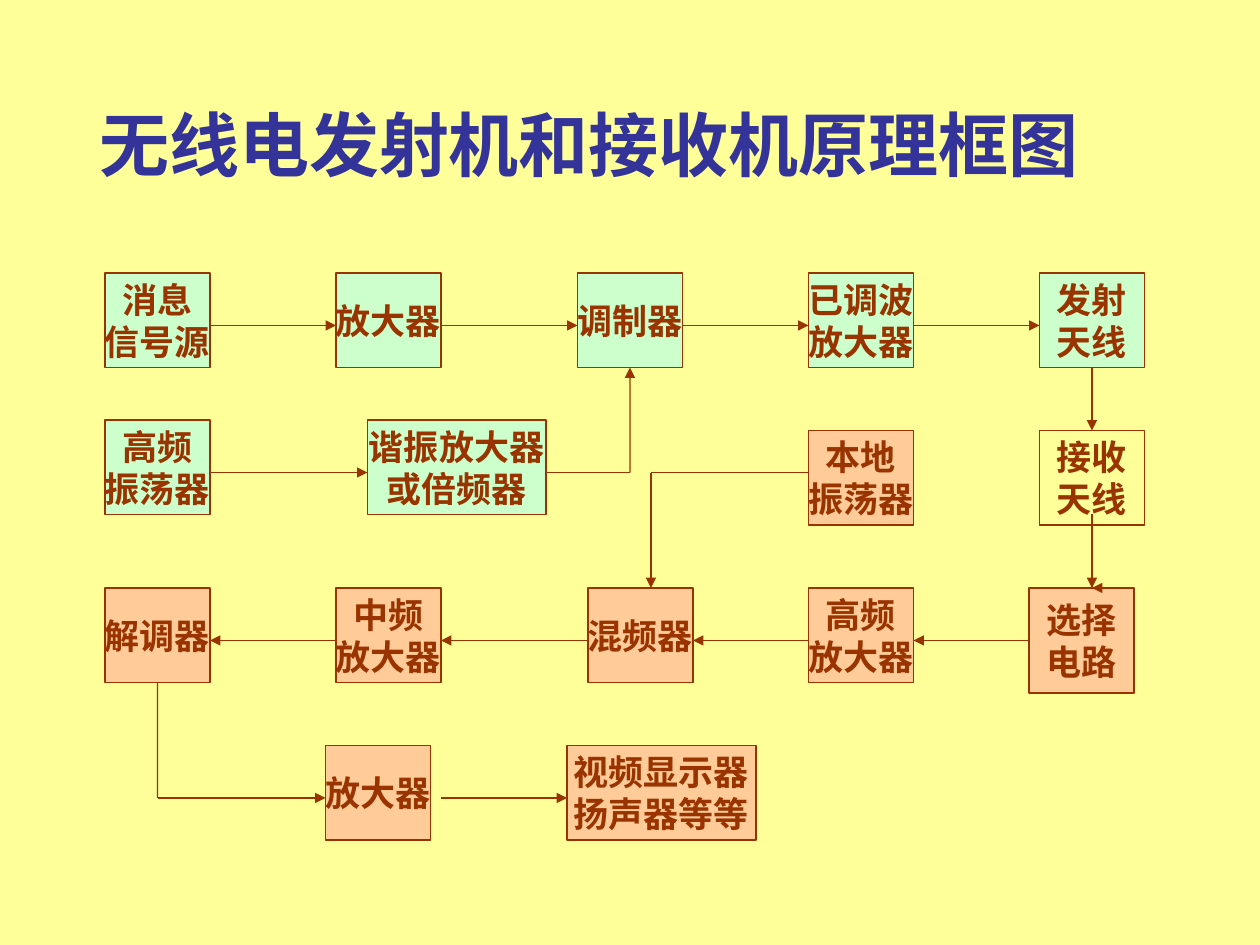
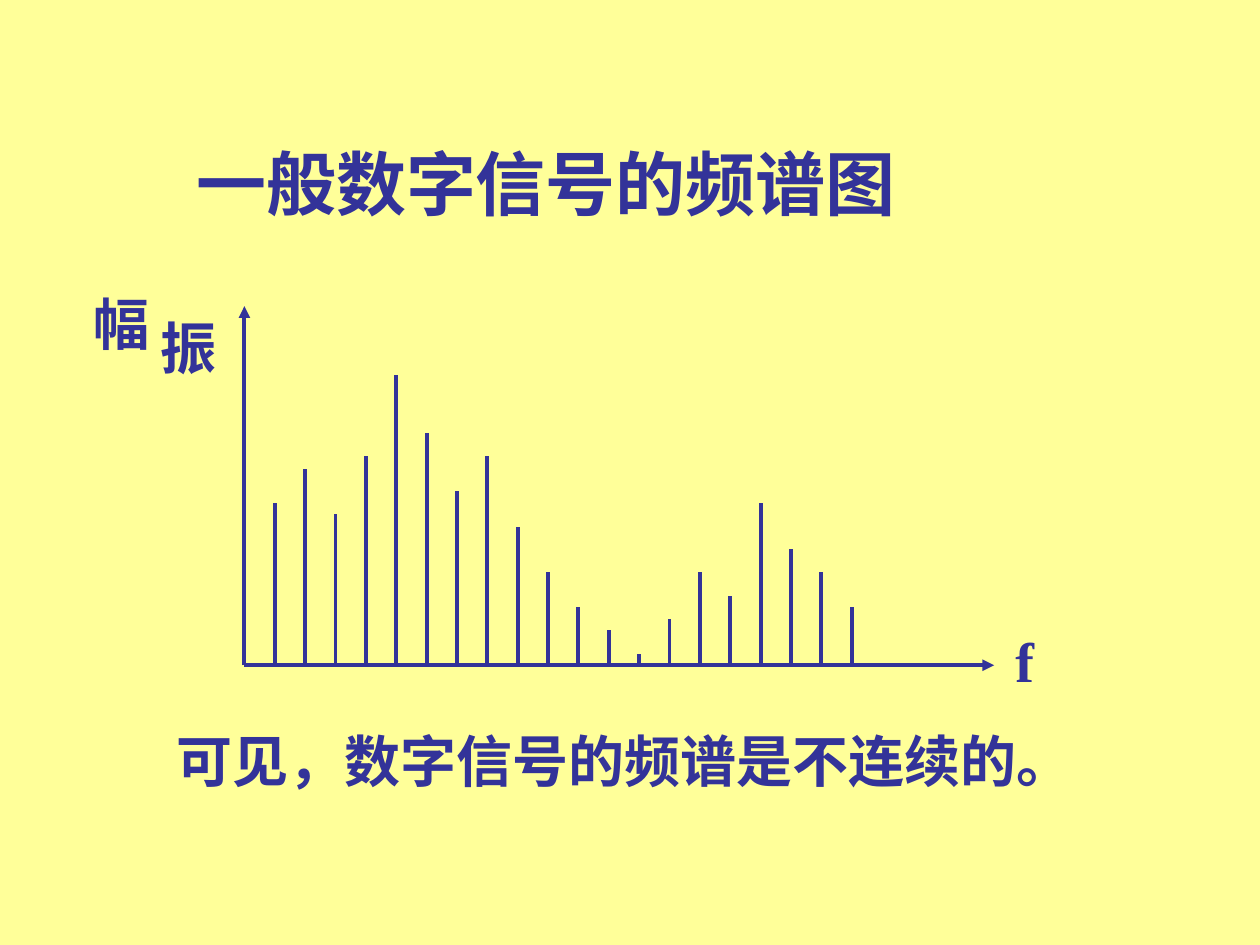
"""Build two slides: a radio block diagram and a digital signal spectrum."""
from typing import NamedTuple

from lxml.etree import SubElement
from pptx import Presentation
from pptx.dml.color import RGBColor
from pptx.enum.shapes import MSO_CONNECTOR, MSO_SHAPE
from pptx.enum.text import MSO_ANCHOR, MSO_AUTO_SIZE, PP_ALIGN
from pptx.oxml.ns import qn
from pptx.shapes.autoshape import Shape
from pptx.shapes.connector import Connector
from pptx.slide import Slide
from pptx.text.text import _Paragraph as Para
from pptx.util import Inches, Pt

CREAM = RGBColor(0xFF, 0xFF, 0x99)
MINT = RGBColor(0xCC, 0xFF, 0xCC)
PEACH = RGBColor(0xFF, 0xCC, 0x99)
BROWN = RGBColor(0x99, 0x33, 0x00)
NAVY = RGBColor(0x33, 0x33, 0x99)
FONT = "Times New Roman"
GRID = 1 / 12


class Block(NamedTuple):
    text: str
    left: int
    top: int
    fill: RGBColor
    width: int = 10
    height: int = 9
    weight: float = 0.75


class Wire(NamedTuple):
    x1: int
    y1: int
    x2: int
    y2: int
    arrow: bool = True
    weight: float = 0.75


class Label(NamedTuple):
    text: str
    left: float
    top: float
    width: float
    height: float
    size: int
    before: int = 0
    wrap: bool = True


BLOCKS = [
    Block("消息\n信号源", 10, 26, MINT),
    Block("放大器", 32, 26, MINT),
    Block("调制器", 55, 26, MINT),
    Block("已调波\n放大器", 77, 26, MINT),
    Block("发射\n天线", 99, 26, MINT),
    Block("高频\n振荡器", 10, 40, MINT),
    Block("谐振放大器\n或倍频器", 35, 40, MINT, 17),
    Block("本地\n振荡器", 77, 41, PEACH),
    Block("接收\n天线", 99, 41, CREAM),
    Block("解调器", 10, 56, PEACH),
    Block("中频\n放大器", 32, 56, PEACH),
    Block("混频器", 56, 56, PEACH),
    Block("高频\n放大器", 77, 56, PEACH),
    Block("选择\n电路", 98, 56, PEACH, height=10, weight=1),
    Block("放大器", 31, 71, PEACH),
    Block("视频显示器\n扬声器等等", 54, 71, PEACH, 18),
]
WIRES = [
    Wire(20, 31, 32, 31),
    Wire(42, 31, 55, 31),
    Wire(65, 31, 77, 31),
    Wire(87, 31, 99, 31),
    Wire(20, 45, 35, 45),
    Wire(52, 45, 60, 45, False),
    Wire(60, 45, 60, 35),
    Wire(104, 35, 104, 41),
    Wire(77, 45, 62, 45, False, 1),
    Wire(62, 45, 62, 56),
    Wire(98, 61, 87, 61),
    Wire(77, 61, 66, 61),
    Wire(56, 61, 42, 61),
    Wire(32, 61, 20, 61),
    Wire(15, 65, 15, 76, False),
    Wire(15, 76, 31, 76),
    Wire(42, 76, 54, 76),
    Wire(104, 50, 104, 56, False, 1),
    Wire(106, 56, 104, 56, True, 1),
    Wire(104, 49, 104, 56),
]
PEAKS = [3.99, 3.72, 4.08, 3.62, 2.98, 3.44, 3.9, 3.62, 4.18, 4.54,
         4.82, 5, 5.19, 4.91, 4.54, 4.73, 3.99, 4.36, 4.54, 4.82]
LEFT, BASE, STEP = 1.94, 5.28, 0.241


def add_page(deck: Presentation) -> Slide:
    """Add a blank slide with the shared background."""
    page = deck.slides.add_slide(deck.slide_layouts[6])
    page.background.fill.solid()
    page.background.fill.fore_color.rgb = CREAM
    return page


def add_run(para: Para, text: str, size: int, color: RGBColor) -> None:
    """Append a bold run to a paragraph."""
    run = para.add_run()
    run.text = text
    run.font.name = FONT
    run.font.size = Pt(size)
    run.font.bold = True
    run.font.color.rgb = color


def add_line(page: Slide, x1: float, y1: float, x2: float, y2: float,
             color: RGBColor, weight: float, arrow: bool = False) -> Connector:
    """Draw a straight line, with an arrowhead at its end if asked."""
    line = page.shapes.add_connector(
        MSO_CONNECTOR.STRAIGHT, Inches(x1), Inches(y1), Inches(x2), Inches(y2))
    line.line.color.rgb = color
    line.line.width = Pt(weight)
    props = line._element.spPr
    if arrow:
        SubElement(props.find(qn("a:ln")), qn("a:tailEnd"), type="triangle")
    SubElement(props, qn("a:effectLst"))
    return line


def add_label(page: Slide, label: Label) -> Shape:
    """Add a text box holding one line of navy text."""
    box = page.shapes.add_textbox(
        Inches(label.left), Inches(label.top),
        Inches(label.width), Inches(label.height))
    frame = box.text_frame
    frame.word_wrap = label.wrap
    frame.auto_size = MSO_AUTO_SIZE.SHAPE_TO_FIT_TEXT
    para = frame.paragraphs[0]
    para.space_before = Pt(label.before)
    add_run(para, label.text, label.size, NAVY)
    return box


def add_block(page: Slide, block: Block) -> Shape:
    """Draw one stage of the diagram."""
    box = page.shapes.add_shape(
        MSO_SHAPE.RECTANGLE, Inches(block.left * GRID), Inches(block.top * GRID),
        Inches(block.width * GRID), Inches(block.height * GRID))
    box.shadow.inherit = False
    box.fill.solid()
    box.fill.fore_color.rgb = block.fill
    box.line.color.rgb = BROWN
    box.line.width = Pt(block.weight)
    frame = box.text_frame
    frame.word_wrap = False
    frame.vertical_anchor = MSO_ANCHOR.MIDDLE
    for row, text in enumerate(block.text.split("\n")):
        para = frame.add_paragraph() if row else frame.paragraphs[0]
        para.alignment = PP_ALIGN.CENTER
        add_run(para, text, 20, BROWN)
    return box


def draw_radio(page: Slide) -> None:
    """Draw the transmitter and receiver diagram."""
    add_label(page, Label("无线电发射机和接收机原理框图",
                          0.69, 0.76, 7.97, 0.77, 40, wrap=False))
    ports = {}
    for block in BLOCKS:
        box = add_block(page, block)
        left, top = block.left, block.top
        right, low = left + block.width, top + block.height
        midx, midy = (left + right) / 2, (top + low) / 2
        spots = [(midx, top), (left, midy), (midx, low), (right, midy)]
        for site, spot in enumerate(spots):
            ports[spot] = (box, site)
    for wire in WIRES:
        ends = [end * GRID for end in wire[:4]]
        line = add_line(page, *ends, BROWN, wire.weight, wire.arrow)
        if wire[:2] in ports:
            line.begin_connect(*ports[wire[:2]])
        if wire[2:4] in ports:
            line.end_connect(*ports[wire[2:4]])


def draw_graph(page: Slide) -> None:
    """Draw the line spectrum with its axes and labels."""
    add_label(page, Label("一般数字信号的频谱图", 1.46, 1.07, 7.67, 0.77, 40, 25))
    add_label(page, Label("可见，数字信号的频谱是不连续的。",
                          1.3, 5.72, 8.11, 0.64, 32, 20))
    add_line(page, LEFT, BASE, LEFT, 2.43, NAVY, 2.25, True)
    add_line(page, LEFT, BASE, 7.89, BASE, NAVY, 2.25, True)
    for rank, peak in enumerate(PEAKS, 1):
        spot = LEFT + rank * STEP
        add_line(page, spot, BASE, spot, peak, NAVY, 2.25)
    axis = add_label(page, Label("振幅", 1.07, 2.25, 0.73, 1.25, 32, 20))
    frame = axis.text_frame
    frame.margin_left = frame.margin_right = Inches(0.05)
    frame.margin_top = frame.margin_bottom = Inches(0.1)
    frame._txBody.bodyPr.set("vert", "eaVert")
    props = frame.paragraphs[0]._p.get_or_add_pPr()
    props.set("indent", str(Inches(0.19)))
    add_label(page, Label("f", 7.96, 4.92, 0.67, 0.64, 32, 20))


def main() -> None:
    """Build and save the deck."""
    deck = Presentation()
    deck.slide_width, deck.slide_height = Inches(10), Inches(7.5)
    draw_radio(add_page(deck))
    draw_graph(add_page(deck))
    deck.save("out.pptx")


if __name__ == "__main__":
    main()
